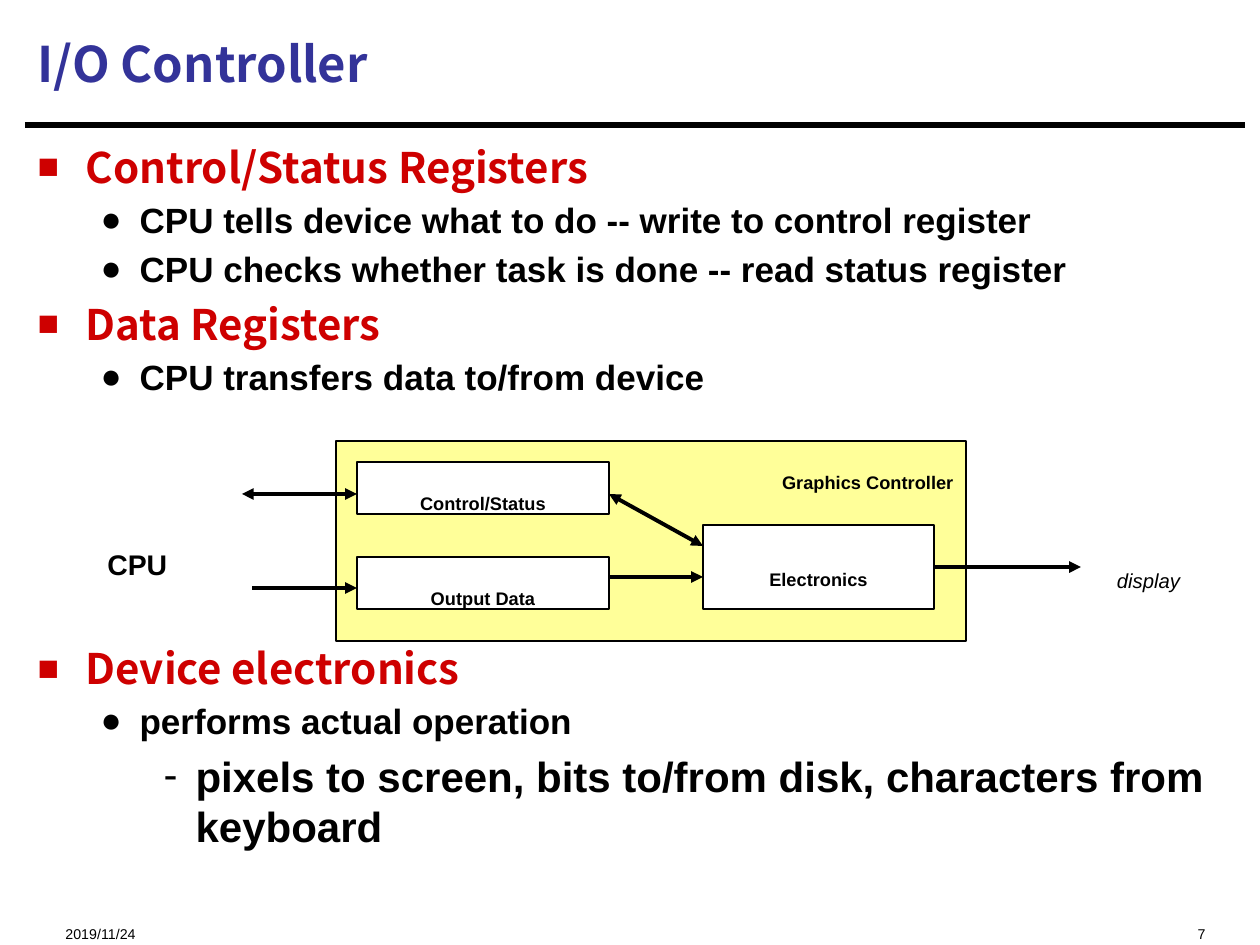
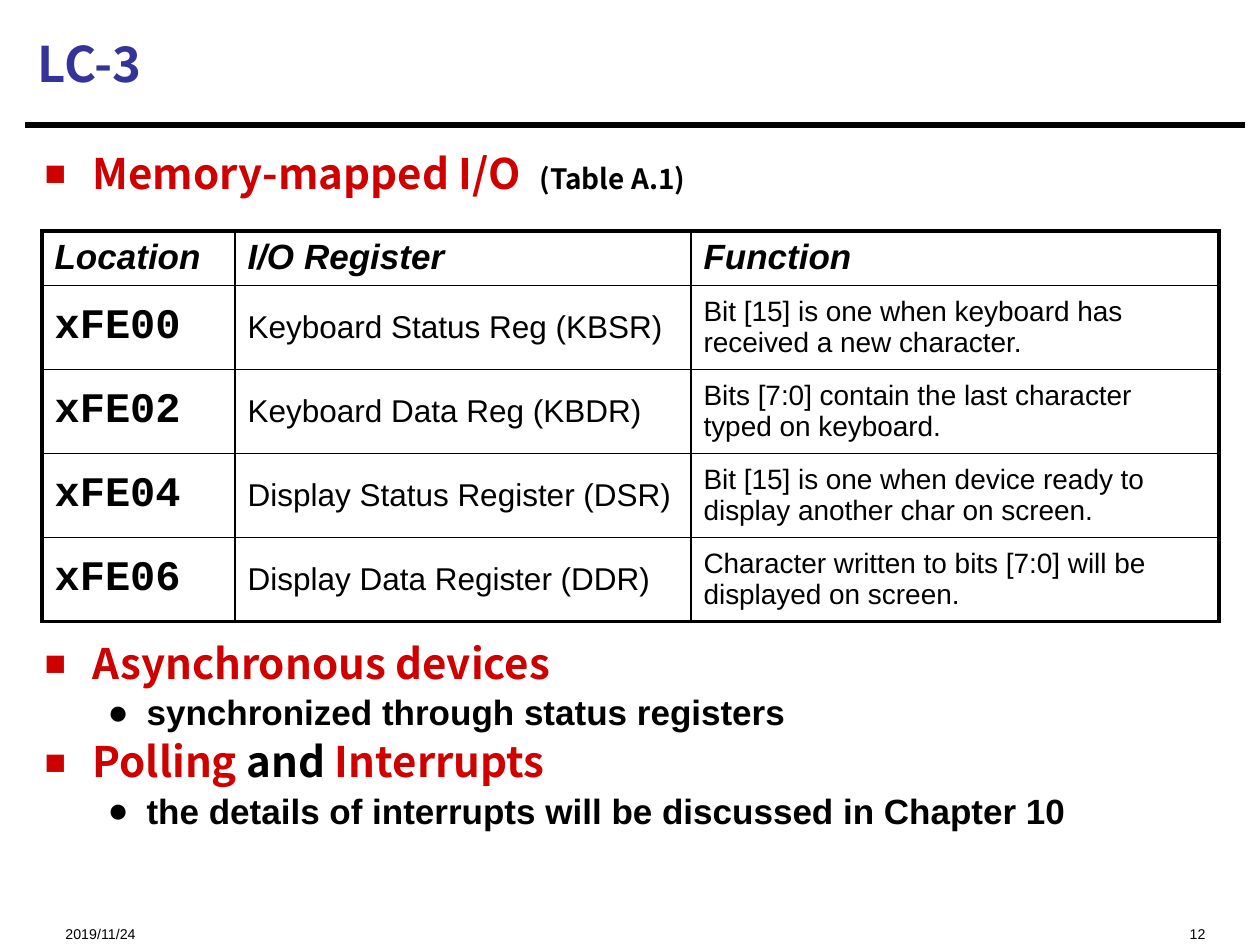
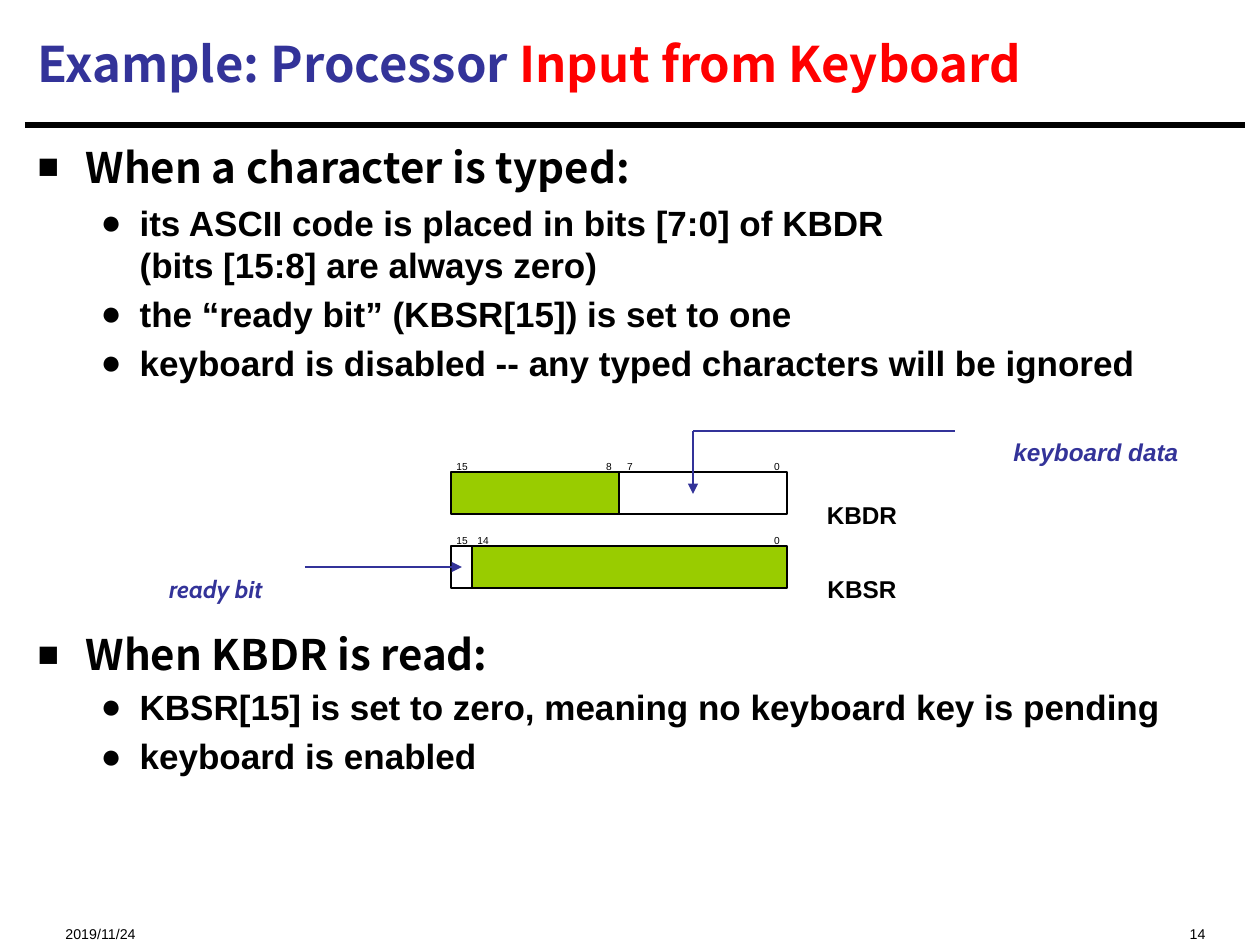
from lxml.etree import SubElement
from pptx import Presentation
from pptx.dml.color import RGBColor as RGB
from pptx.enum.shapes import MSO_CONNECTOR as LINK, MSO_SHAPE as SHAPE
from pptx.enum.text import MSO_ANCHOR as ANCHOR, MSO_AUTO_SIZE as FIT, PP_ALIGN as ALIGN
from pptx.oxml.ns import qn
from pptx.util import Emu, Pt

SCALE = 914400 / 126
INK = {
    "black": "000000", "white": "FFFFFF", "blue": "333399", "crimson": "CE0000",
    "red": "FF0000", "yellow": "FFFF99", "green": "99CC00",
}
HEAD = "Noto Sans CJK SC"
RED = {"color": "crimson"}
DATE = "2019/11/24"
# Per list level: left margin, hanging indent, bullet, bullet size, text style
LEVELS = [
    (48, 48, "■", 85, {"size": 24, "font": HEAD, "bold": True}),
    (102, 39, "●", 100, {"size": 20, "bold": True}),
    (158, 32, "-", 100, {"size": 24, "bold": True}),
]


def px(n):
    return Emu(round(n * SCALE))


def area(*box):
    return [px(n) for n in box]


def hue(name):
    return RGB.from_string(INK[name])


def dress(run, size, font="Arial", color="black", bold=False, italic=False, sub=False):
    face = run.font
    face.size, face.name, face.bold, face.italic = Pt(size), font, bold, italic
    face.color.rgb = hue(color)
    props = run._r.get_or_add_rPr()
    SubElement(props, qn("a:ea")).set("typeface", font)
    if sub:
        props.set("baseline", "-33000")


def write(para, spans, **style):
    """Fill a paragraph from (text, style) pairs; a newline is a soft break."""
    for text, extra in spans:
        if text == "\n":
            para.add_line_break()
            continue
        run = para.add_run()
        run.text = text
        dress(run, **(style | extra))


def label(slide, text, box, size, align=ALIGN.CENTER, **style):
    """Place a note whose text is small and lowered."""
    frame = slide.shapes.add_textbox(*area(*box)).text_frame
    frame.word_wrap = True
    frame.paragraphs[0].alignment = align
    write(frame.paragraphs[0], [(text, {})], size=size, sub=True, **style)


def block(slide, box, fill, width, text="", anchor=ANCHOR.TOP):
    shape = slide.shapes.add_shape(SHAPE.RECTANGLE, *area(*box))
    shape.shadow.inherit = False
    shape.fill.solid()
    shape.fill.fore_color.rgb = hue(fill)
    shape.line.color.rgb = hue("black")
    shape.line.width = Pt(width)
    if text:
        frame = shape.text_frame
        frame.vertical_anchor = anchor
        frame.paragraphs[0].alignment = ALIGN.CENTER
        write(frame.paragraphs[0], [(text, {})], size=18, bold=True, sub=True)


def link(slide, ends, width, color="black", tips=()):
    line = slide.shapes.add_connector(LINK.STRAIGHT, *area(*ends))
    line.line.color.rgb = hue(color)
    line.line.width = Pt(width)
    props = line.element.spPr
    for tip in tips:
        SubElement(props.find(qn("a:ln")), qn(f"a:{tip}End")).set("type", "triangle")
    SubElement(props, qn("a:effectLst"))


def start(deck, title, number):
    """Add a slide with its title, rule and footer."""
    slide = deck.slides.add_slide(deck.slide_layouts[1])
    link(slide, (25, 125, 1245, 125), 3.75)
    label(slide, DATE, (53, 901, 315, 34), 14, ALIGN.LEFT)
    label(slide, str(number), (840, 901, 378, 34), 14, ALIGN.RIGHT)
    head = slide.shapes.title
    head.left, head.top, head.width, head.height = area(25, 10, 1218, 106)
    frame = head.text_frame
    frame.auto_size = FIT.NONE
    frame.vertical_anchor = ANCHOR.MIDDLE
    frame.paragraphs[0].alignment = ALIGN.LEFT
    write(frame.paragraphs[0], title, size=28, font=HEAD, color="blue", bold=True)
    return slide


def outline(slide, items, box=(25, 135, 1218, 755), pitch=None):
    """Fill the body with (level, spans, gap before in points) items."""
    body = slide.placeholders[1]
    body.left, body.top, body.width, body.height = area(*box)
    frame = body.text_frame
    frame.auto_size = FIT.NONE
    for i, (level, spans, gap) in enumerate(items):
        para = frame.add_paragraph() if i else frame.paragraphs[0]
        margin, hang, mark, size, style = LEVELS[level]
        para.level = level
        para.line_spacing = pitch
        if gap:
            para.space_before = Pt(gap)
        props = para._p.get_or_add_pPr()
        props.set("marL", str(px(margin)))
        props.set("indent", str(-px(hang)))
        SubElement(props, qn("a:buSzPct")).set("val", str(size * 1000))
        SubElement(props, qn("a:buFont")).set("typeface", "Arial")
        SubElement(props, qn("a:buChar")).set("char", mark)
        write(para, spans, **style)


def circuit(slide, x, y):
    """Draw the graphics controller and what it connects to."""
    block(slide, (x, y, 630, 200), "yellow", 1)
    label(slide, "Graphics Controller", (x + 284, y, 346, 50), 18, ALIGN.RIGHT, bold=True)
    for text, top in (("Control/Status", 21), ("Output Data", 116)):
        block(slide, (x + 21, y + top, 252, 52), "white", 1, text)
    block(slide, (x + 367, y + 84, 231, 84), "white", 1, "Electronics", ANCHOR.MIDDLE)
    one, both = ["tail"], ["head", "tail"]
    for x1, y1, x2, y2, tips in (
        (599, 126, 745, 126, one), (-84, 147, 21, 147, one), (-94, 53, 21, 53, both),
        (273, 136, 367, 136, one), (273, 53, 367, 105, both),
    ):
        link(slide, (x + x1, y + y1, x + x2, y + y2), 2.25, tips=tips)
    label(slide, "CPU", (x - 241, y + 63, 129, 72), 28, ALIGN.LEFT, bold=True)
    label(slide, "display", (x + 745, y + 95, 135, 54), 20, italic=True)


def edge(cell, sides):
    """Draw cell borders from a side-to-width mapping."""
    props = cell._tc.get_or_add_tcPr()
    for side, width in sides.items():
        line = SubElement(props, qn(f"a:ln{side}"), w=str(Pt(width)))
        fill = SubElement(line, qn("a:solidFill"))
        SubElement(fill, qn("a:srgbClr")).set("val", INK["black"])


def memory(slide, x, y):
    """Draw the table of device registers."""
    rows = [
        ("Location", "I/O Register", "Function"),
        ("xFE00", "Keyboard Status Reg (KBSR)",
         "Bit [15] is one when keyboard has received a new character."),
        ("xFE02", "Keyboard Data Reg (KBDR)",
         "Bits [7:0] contain the last character typed on keyboard."),
        ("xFE04", "Display Status Register (DSR)",
         "Bit [15] is one when device ready to display another char on screen."),
        ("xFE06", "Display Data Register (DDR)",
         "Character written to bits [7:0] will be displayed on screen."),
    ]
    wide, tall = (193, 456, 528), (54, 84, 84, 84, 84)
    styles = (
        {"size": 24, "font": "Courier New", "bold": True}, {"size": 18}, {"size": 16},
    )
    top = {"size": 20, "bold": True, "italic": True}
    grid = slide.shapes.add_table(
        len(rows), len(wide), *area(x, y, sum(wide), sum(tall))).table
    grid.first_row = grid.horz_banding = False
    for col, width in zip(grid.columns, wide):
        col.width = px(width)
    for r, row in enumerate(rows):
        grid.rows[r].height = px(tall[r])
        for c, text in enumerate(row):
            cell = grid.cell(r, c)
            cell.vertical_anchor = ANCHOR.MIDDLE if r else ANCHOR.TOP
            outer = {"L": c == 0, "R": c == 2, "T": r == 0, "B": r == 4}
            edge(cell, {side: 2.25 if out else 1 for side, out in outer.items()})
            cell.fill.background()
            write(cell.text_frame.paragraphs[0], [(text, {})], **(styles[c] if r else top))


def bits(slide, x, y):
    """Draw the two keyboard registers bit by bit, with their callouts."""
    unit = 21
    fields = {
        "KBDR": [(15, 8, "green"), (7, 0, "white")],
        "KBSR": [(15, 15, "white"), (14, 0, "green")],
    }
    for i, (name, parts) in enumerate(fields.items()):
        top = y + 74 * i
        for high, low, color in parts:
            left = x + (15 - high) * unit
            block(slide, (left, top, (high - low + 1) * unit, 42), color, 0.75)
            for bit in {high, low}:
                mid = x + (15 - bit) * unit + unit // 2
                label(slide, str(bit), (mid - 21, top - 31, 44, 34), 10)
        label(slide, name, (x + 338, top - 10, 146, 63), 24, bold=True)
    note = {"size": 24, "color": "blue", "bold": True, "italic": True}
    label(slide, "keyboard data", (x + 490, y - 73, 310, 63), **note)
    label(slide, "ready bit", (x - 325, y + 64, 180, 63), font="Cabin", **note)
    for x1, y1, x2, y2, tips in (
        (504, -41, 242, -41, []), (242, -41, 242, 22, ["tail"]), (-146, 95, 11, 95, ["tail"]),
    ):
        link(slide, (x + x1, y + y1, x + x2, y + y2), 0.75, "blue", tips)


def control(deck):
    slide = start(deck, [("I/O Controller", {})], 7)
    outline(slide, [
        (0, [("Control/Status Registers", RED)], 0),
        (1, [("CPU tells device what to do -- write to control register", {})], 0),
        (1, [("CPU checks whether task is done -- read status register", {})], 0),
        (0, [("Data Registers", RED)], 0),
        (1, [("CPU transfers data to/from device", {})], 0),
        (0, [("Device electronics", RED)], 140),
        (1, [("performs actual operation", {})], 0),
        (2, [("pixels to screen, bits to/from disk, characters from keyboard", {})], 0),
    ])
    circuit(slide, 336, 441)


def mapped(deck):
    slide = start(deck, [("LC-3", {})], 12)
    outline(slide, [
        (0, [("Memory-mapped I/O  ", RED), ("(Table A.1)", {"size": 16})], 0),
        (0, [("Asynchronous devices", RED)], 254),
        (1, [("synchronized through status registers", {})], 0),
        (0, [("Polling", RED), (" and ", {}), ("Interrupts", RED)], 0),
        (1, [("the details of interrupts will be discussed in Chapter 10", {})], 0),
    ], (32, 147, 1092, 766), 0.9)
    memory(slide, 42, 231)


def typing(deck):
    slide = start(deck, [
        ("Example: Processor ", {}), ("Input from Keyboard", {"color": "red"})], 14)
    outline(slide, [
        (0, [("When a character is typed:", {})], 0),
        (1, [("its ASCII code is placed in bits [7:0] of KBDR", {}), ("\n", {}),
             ("(bits [15:8] are always zero)", {})], 0),
        (1, [("the “ready bit” (KBSR[15]) is set to one", {})], 0),
        (1, [("keyboard is disabled -- any typed characters will be ignored", {})], 0),
        (0, [("When KBDR is read:", {})], 140),
        (1, [("KBSR[15] is set to zero, meaning no keyboard key is pending", {})], 0),
        (1, [("keyboard is enabled", {})], 0),
    ])
    bits(slide, 451, 472)


def main():
    deck = Presentation()
    deck.slide_width, deck.slide_height = area(1260, 945)
    for build in (control, mapped, typing):
        build(deck)
    deck.save("out.pptx")


if __name__ == "__main__":
    main()
